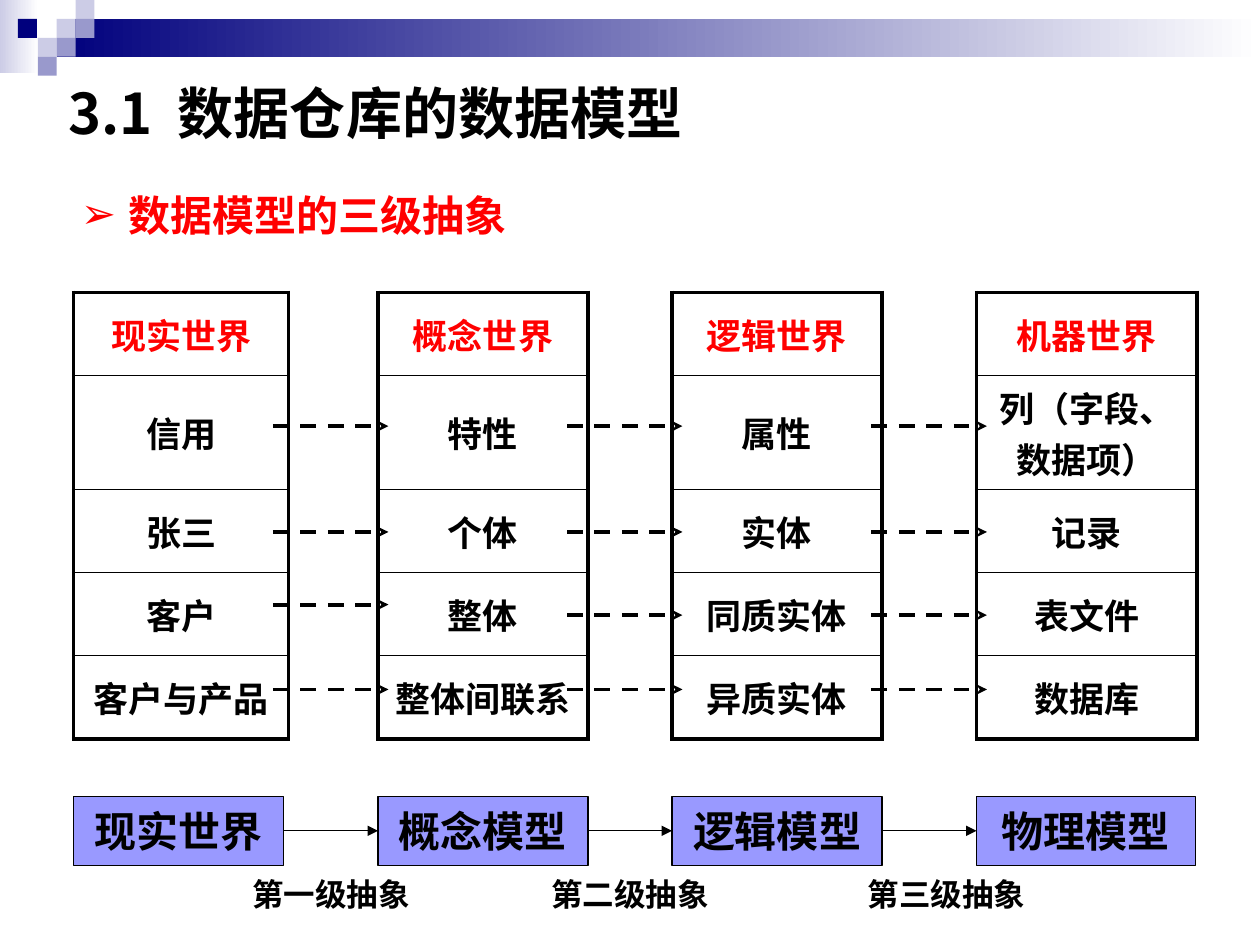
from lxml.etree import SubElement
from pptx import Presentation
from pptx.dml.color import RGBColor
from pptx.enum.dml import MSO_LINE
from pptx.enum.shapes import MSO_CONNECTOR, MSO_SHAPE
from pptx.enum.text import MSO_ANCHOR, PP_ALIGN
from pptx.oxml.ns import qn
from pptx.util import Pt

# Content
SECTION, TITLE = "3.1", "数据仓库的数据模型"
TOPIC = "数据模型的三级抽象"
WORLDS = [
    ("现实世界", "信用", "张三", "客户", "客户与产品"),
    ("概念世界", "特性", "个体", "整体", "整体间联系"),
    ("逻辑世界", "属性", "实体", "同质实体", "异质实体"),
    ("机器世界", "列（字段、数据项）", "记录", "表文件", "数据库"),
]
MODELS = ["现实世界", "概念模型", "逻辑模型", "物理模型"]
STEPS = [("第一级抽象", 189), ("第二级抽象", 360), ("第三级抽象", 541)]  # text, centre

# Style
SANS, SERIF = "Noto Sans CJK SC", "Times New Roman"
BLACK = RGBColor(0, 0, 0)
WHITE = RGBColor(255, 255, 255)
RED = RGBColor(255, 0, 0)
BLUE = RGBColor(0x99, 0x99, 0xFF)
NAVY = RGBColor(0, 0, 0x7D)
PALE = RGBColor(0xCC, 0xCC, 0xE6)
MID = RGBColor(0x99, 0x99, 0xCC)

# Layout
TABLE_TOP = 167
COLUMNS = [123, 51, 120, 48, 120, 54, 126]  # worlds and the gaps between them
ROWS = [47.5, 60.5, 47.5, 47.5, 47.5]
LEFTS = [42 + sum(COLUMNS[:i]) for i in range(0, len(COLUMNS), 2)]
LINK_YS = [243.5, 304, 351.5, 394]
FIRST_LINK_YS = [243.5, 304, 345.5, 394]
LINK_LENGTH, LINK_OVERLAP = 66, 6
MODEL_TOP, MODEL_HEIGHT = 455, 39.5
MODEL_WIDTHS = [120, 120, 120, 125]
SQUARE = 10.8
SQUARES = [(3, 1, PALE), (4, 0, PALE), (4, 1, MID), (2, 2, PALE),
           (1, 1, NAVY), (3, 2, MID), (2, 3, MID)]  # column, row, colour


def add_run(p, text, size, color=BLACK, font=SANS):
    r = p.add_run()
    r.text = text
    r.font.size, r.font.bold, r.font.name = Pt(size), True, font
    r.font.color.rgb = color
    SubElement(r.font._element, qn("a:ea"), typeface=SANS)
    return r


def add_rect(s, x, y, w, h, *colors):
    sp = s.shapes.add_shape(MSO_SHAPE.RECTANGLE, Pt(x), Pt(y), Pt(w), Pt(h))
    sp.shadow.inherit = False
    sp.line.fill.background()
    if len(colors) == 1:
        sp.fill.solid()
        sp.fill.fore_color.rgb = colors[0]
    else:
        sp.fill.gradient()
        sp.fill.gradient_angle = 0
        for stop, color in zip(sp.fill.gradient_stops, colors):
            stop.color.rgb = color
    return sp


def add_arrow(s, x1, x2, y, width, head, dash=None):
    line = s.shapes.add_connector(MSO_CONNECTOR.STRAIGHT, Pt(x1), Pt(y), Pt(x2), Pt(y))
    line.line.color.rgb = BLACK
    line.line.width = Pt(width)
    if dash:
        line.line.dash_style = dash
    SubElement(line.line._get_or_add_ln(), qn("a:tailEnd"), type=head)
    SubElement(line._element.spPr, qn("a:effectLst"))


def set_borders(cell, **widths):
    tc_pr = cell._tc.get_or_add_tcPr()
    for side in "LRTB":
        width = widths.get(side, 0)
        ln = SubElement(tc_pr, qn("a:ln" + side), w=str(Pt(width)))
        if width:
            fill = SubElement(ln, qn("a:solidFill"))
            SubElement(fill, qn("a:srgbClr"), val=str(BLACK))
        else:
            SubElement(ln, qn("a:noFill"))


def place(sp, x, y, w, h):
    sp.left, sp.top, sp.width, sp.height = Pt(x), Pt(y), Pt(w), Pt(h)


def main():
    prs = Presentation()
    prs.slide_width, prs.slide_height = Pt(720), Pt(540)
    s = prs.slides.add_slide(prs.slide_layouts[1])

    # Title and topic
    title, body = s.placeholders
    place(title, 32, 43.5, 648, 41)
    title.text_frame.vertical_anchor = MSO_ANCHOR.MIDDLE
    p = title.text_frame.paragraphs[0]
    p.alignment = PP_ALIGN.LEFT
    add_run(p, SECTION, 32)
    add_run(p, " ", 32).font._element.set("spc", "700")
    add_run(p, TITLE, 32)

    place(body, 39, 104.5, 376.5, 48)
    p = body.text_frame.paragraphs[0]
    p_pr = p._p.get_or_add_pPr()
    p_pr.set("marL", str(Pt(27)))
    p_pr.set("indent", str(Pt(-27)))
    bullet_color = SubElement(p_pr, qn("a:buClr"))
    SubElement(bullet_color, qn("a:srgbClr"), val=str(RED))
    SubElement(p_pr, qn("a:buChar"), char="➢")
    p.space_before = Pt(0)
    add_run(p, TOPIC, 24, RED)

    # Header decoration
    add_rect(s, 0, 0, 22, 42, PALE, WHITE)
    add_rect(s, 3 * SQUARE, SQUARE, 720 - 3 * SQUARE, 2 * SQUARE, NAVY, WHITE)
    for col, row, color in SQUARES:
        add_rect(s, (col if col > 1 else 0.95) * SQUARE, row * SQUARE, SQUARE, SQUARE, color)

    # Table of the four worlds
    table = s.shapes.add_table(len(ROWS), len(COLUMNS), Pt(LEFTS[0]), Pt(TABLE_TOP),
                               Pt(sum(COLUMNS)), Pt(sum(ROWS))).table
    table.first_row = table.horz_banding = False
    for column, width in zip(table.columns, COLUMNS):
        column.width = Pt(width)
    for i, height in enumerate(ROWS):
        table.rows[i].height = Pt(height)
        for j in range(len(COLUMNS)):
            cell = table.cell(i, j)
            if j % 2:
                set_borders(cell, L=2.25, R=2.25)
            else:
                set_borders(cell, L=2.25, R=2.25, T=1 if i else 2.25,
                            B=1 if i < len(ROWS) - 1 else 2.25)
                cell.vertical_anchor = MSO_ANCHOR.MIDDLE
                p = cell.text_frame.paragraphs[0]
                p.alignment = PP_ALIGN.CENTER
                add_run(p, WORLDS[j // 2][i], 20, BLACK if i else RED, SERIF)
            cell.fill.background()

    # Dashed links between the worlds
    for left in LEFTS[1:]:
        end = left + LINK_OVERLAP
        for y in FIRST_LINK_YS if left == LEFTS[1] else LINK_YS:
            add_arrow(s, end - LINK_LENGTH, end, y, 2.25, "stealth", MSO_LINE.DASH)

    # Models and the arrows between them
    for text, left, width in zip(MODELS, LEFTS, MODEL_WIDTHS):
        sp = add_rect(s, left, MODEL_TOP, width, MODEL_HEIGHT, BLUE)
        sp.line.color.rgb = BLACK
        sp.line.width = Pt(0.75)
        tf = sp.text_frame
        tf.word_wrap = False
        tf.vertical_anchor = MSO_ANCHOR.MIDDLE
        p = tf.paragraphs[0]
        p.alignment = PP_ALIGN.CENTER
        add_run(p, text, 24)
    for left, width, following in zip(LEFTS, MODEL_WIDTHS, LEFTS[1:]):
        add_arrow(s, left + width, following, MODEL_TOP + MODEL_HEIGHT / 2, 0.75, "triangle")

    # Abstraction steps
    for text, center in STEPS:
        tf = s.shapes.add_textbox(Pt(center - 57), Pt(496.5), Pt(114), Pt(29)).text_frame
        tf.word_wrap = True
        p = tf.paragraphs[0]
        p.alignment = PP_ALIGN.CENTER
        add_run(p, text, 18)

    prs.save("out.pptx")


if __name__ == "__main__":
    main()
